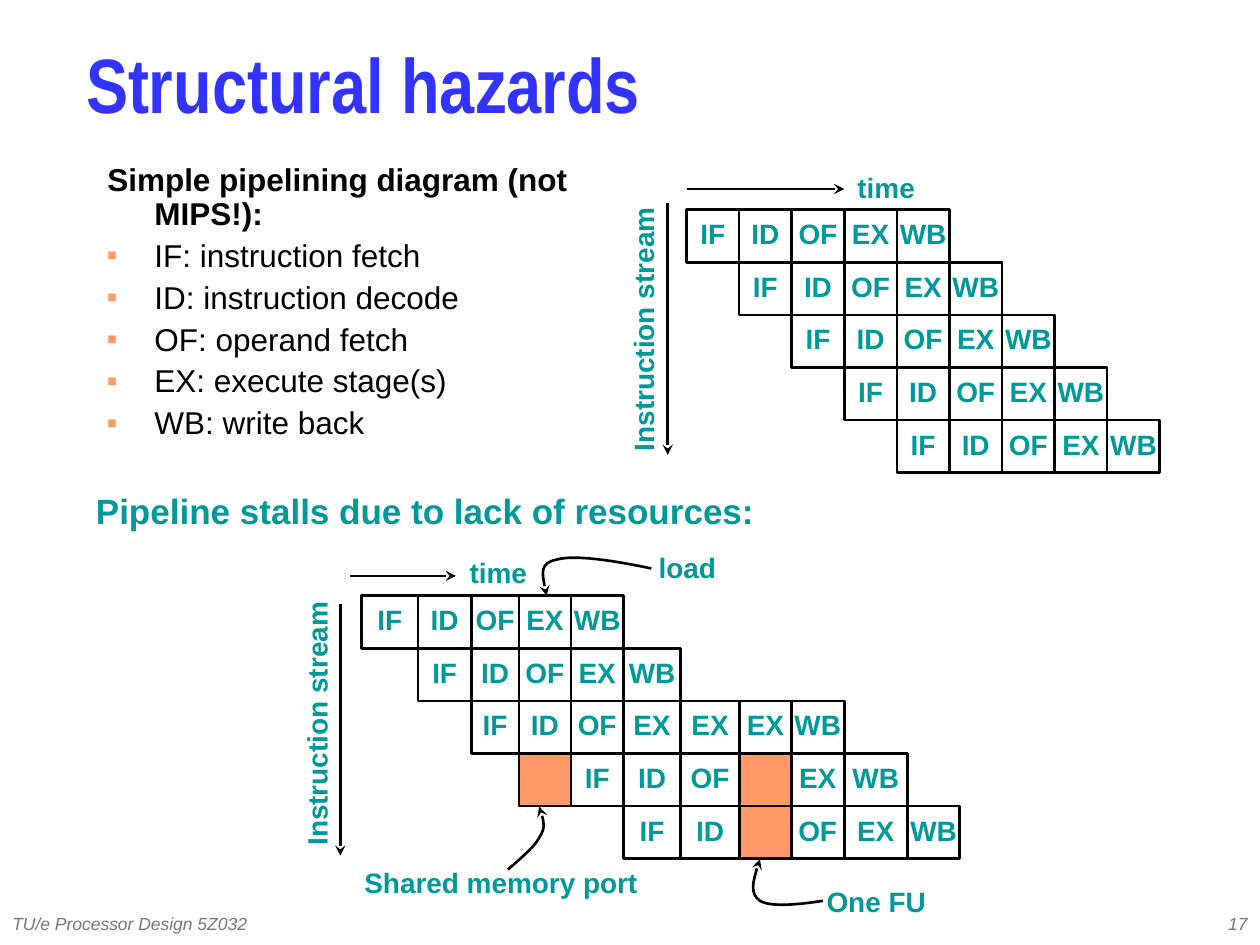
from itertools import accumulate
from lxml.etree import SubElement
from pptx import Presentation
from pptx.dml.color import RGBColor
from pptx.enum.shapes import MSO_CONNECTOR, MSO_SHAPE
from pptx.enum.text import MSO_ANCHOR, MSO_AUTO_SIZE, PP_ALIGN
from pptx.oxml.ns import qn
from pptx.util import Cm, Pt

COLORS = {"title": "3333FF", "ink": "000000", "teal": "009999",
          "stall": "FF9966", "white": "FFFFFF", "foot": "777777"}

# Content
TITLE = "Structural hazards"
HEAD = "Simple pipelining diagram (not MIPS!):"
ITEMS = ["IF: instruction fetch", "ID: instruction decode",
         "OF: operand fetch", "EX: execute stage(s)", "WB: write back"]
STAGES = ["IF", "ID", "OF", "EX", "WB"]
STALL = ""

# Pipelines: first column and stages of each instruction
IDEAL = [(row, STAGES) for row in range(5)]
STALLED = [
    (0, STAGES),
    (1, STAGES),
    (2, ["IF", "ID", "OF", "EX", "EX", "EX", "WB"]),
    (3, [STALL, "IF", "ID", "OF", STALL, "EX", "WB"]),
    (5, ["IF", "ID", STALL, "OF", "EX", "WB"]),
]
SIDE = 1.06
# Left, top, column widths and rows of each diagram
GRIDS = [
    (13.84, 4.23, [SIDE] * 9, IDEAL),
    (7.29, 12.01, [1.14, 1.07, 0.96, 1.05, 1.06, 1.15, 1.19, 1.04,
                   1.07, 1.27, 1.06], STALLED),
]

# Labels: text, left, top, width, size, turn
LABELS = [
    ("time", 17.04, 3.3, 1.65, 16, 0),
    ("Instruction stream", 10.24, 6.17, 5.44, 16, 270),
    ("Pipeline stalls due to lack of resources:", 1.68, 9.82, 13.79, 20, 0),
    ("time", 9.22, 11.07, 1.65, 16, 0),
    ("Instruction stream", 3.66, 14.12, 5.44, 16, 270),
    ("load", 13.03, 10.97, 1.65, 16, 0),
    ("Shared memory port", 7.09, 17.32, 6.02, 16, 0),
    ("One FU", 16.41, 17.7, 2.51, 16, 0),
]
FOOT = [("TU/e Processor Design 5Z032", 0.25, PP_ALIGN.LEFT),
        ("17", 20.37, PP_ALIGN.RIGHT)]

# Axes: start and end points
AXES = [(13.84, 3.81, 17.02, 3.81), (13.46, 4.09, 13.46, 9.17),
        (7.06, 11.61, 9.19, 11.61), (6.86, 12.17, 6.86, 17.25)]
# Curved pointers: start, then three Bezier points per piece
CURVES = [
    [(11.02, 12.01), (10.95, 11.68), (10.87, 11.35), (11.23, 11.28),
     (11.58, 11.18), (12.37, 11.3), (13.13, 11.46)],
    [(10.87, 16.26), (10.95, 16.46), (11, 16.69), (10.87, 16.89),
     (10.77, 17.09), (10.36, 17.42), (10.24, 17.53)],
    [(15.32, 17.32), (15.21, 17.65), (15.11, 18.01), (15.32, 18.16),
     (15.54, 18.29), (16.08, 18.24), (16.59, 18.16)],
]


def color(name):
    return RGBColor.from_string(COLORS[name])


def style(par, size, tone, bold=False, face="Arial"):
    font = par.font
    font.name, font.size, font.bold = face, Pt(size), bold
    font.color.rgb = color(tone)


def place(shape, *box):
    shape.left, shape.top, shape.width, shape.height = map(Cm, box)


def outline(shape, end=None):
    shape.line.color.rgb = color("ink")
    shape.line.width = Pt(1.5)
    if end:
        line = shape.element.spPr.find(qn("a:ln"))
        SubElement(line, qn(end), type="stealth")


def bullet(par):
    props = par._p.get_or_add_pPr()
    tint = SubElement(props, qn("a:buClr"))
    SubElement(tint, qn("a:srgbClr"), val=COLORS["stall"])
    SubElement(props, qn("a:buSzPct"), val="50000")
    SubElement(props, qn("a:buFont"), typeface="Arial")
    SubElement(props, qn("a:buChar"), char="■")


def heading(slide):
    shape = slide.shapes.title
    place(shape, 1.48, 0.62, 23.06, 2.54)
    frame = shape.text_frame
    frame.text = TITLE
    frame.auto_size = MSO_AUTO_SIZE.NONE
    frame.vertical_anchor = MSO_ANCHOR.MIDDLE
    par = frame.paragraphs[0]
    par.alignment, par.line_spacing = PP_ALIGN.LEFT, 0.7
    style(par, 44, "title", True, "Arial Narrow")


def legend(slide):
    shape = slide.placeholders[1]
    place(shape, 1.91, 3.18, 9.96, 6.35)
    frame = shape.text_frame
    frame.auto_size = MSO_AUTO_SIZE.NONE
    frame.text = "\n".join([HEAD] + ITEMS)
    for num, par in enumerate(frame.paragraphs):
        props = par._p.get_or_add_pPr()
        props.set("marL", str(Cm(0.95)))
        props.set("indent", str(-Cm(0.95)))
        if num:
            bullet(par)
        else:
            SubElement(props, qn("a:buNone"))
        par.line_spacing = 0.9
        par.space_before = Pt(4.5 if num else 0)
        style(par, 18, "ink", num == 0)


def block(slide, tone, *box):
    shape = slide.shapes.add_shape(MSO_SHAPE.RECTANGLE, *map(Cm, box))
    shape.shadow.inherit = False
    shape.fill.solid()
    shape.fill.fore_color.rgb = color(tone)
    outline(shape)
    return shape


def inset(frame):
    frame.margin_left = frame.margin_right = 0
    frame.margin_top = frame.margin_bottom = 0
    frame.vertical_anchor = MSO_ANCHOR.MIDDLE


def grid(slide, left, top, widths, rows):
    edges = list(accumulate(widths, initial=left))
    for row, (first, stages) in enumerate(rows):
        y, last = top + row * SIDE, first + len(stages)
        start = edges[first]
        bar = block(slide, "white", start, y, edges[last] - start, SIDE)
        # One centred tab stop in the middle of each stage
        frame = bar.text_frame
        inset(frame)
        frame.margin_bottom = Cm(0.1)
        frame.text = "".join("\t" + text for text in stages)
        par = frame.paragraphs[0]
        par.alignment = PP_ALIGN.LEFT
        tabs = SubElement(par._p.get_or_add_pPr(), qn("a:tabLst"))
        for col in range(first, last):
            mid = edges[col] + widths[col] / 2 - start
            SubElement(tabs, qn("a:tab"), pos=str(Cm(mid)), algn="ctr")
        style(par, 16, "teal", True)
        # Dividers and stalls
        for x in edges[first + 1:last]:
            rule(slide, x, y, x, y + SIDE)
        for col, text in enumerate(stages, first):
            if text == STALL:
                block(slide, "stall", edges[col], y, widths[col], SIDE)


def rule(slide, *ends, head=None):
    line = slide.shapes.add_connector(MSO_CONNECTOR.STRAIGHT, *map(Cm, ends))
    outline(line, head)
    SubElement(line.element.spPr, qn("a:effectLst"))


def curve(slide, points):
    start, *rest = [(Cm(x), Cm(y)) for x, y in points]
    pen = slide.shapes.build_freeform(*start)
    pen.add_line_segments(rest, close=False)
    shape = pen.convert_to_shape()
    shape.shadow.inherit = False
    shape.fill.background()
    outline(shape, "a:headEnd")
    # Join every three straight steps into one Bezier piece
    steps = list(shape.element.iter(qn("a:lnTo")))
    for num in range(0, len(steps), 3):
        trio = steps[num:num + 3]
        route = trio[0].getparent()
        bend = SubElement(route, qn("a:cubicBezTo"))
        for step in trio:
            bend.append(step[0])
            route.remove(step)


def label(slide, text, box, size, tone, align, bold=False, turn=0):
    shape = slide.shapes.add_textbox(*map(Cm, box))
    shape.rotation = turn
    frame = shape.text_frame
    frame.word_wrap = True
    inset(frame)
    frame.text = text
    par = frame.paragraphs[0]
    par.alignment = align
    style(par, size, tone, bold)
    return par


def main():
    deck = Presentation()
    deck.slide_width, deck.slide_height = Cm(25.4), Cm(19.05)
    slide = deck.slides.add_slide(deck.slide_layouts[1])
    heading(slide)
    legend(slide)
    for spec in GRIDS:
        grid(slide, *spec)
    for ends in AXES:
        rule(slide, *ends, head="a:tailEnd")
    for points in CURVES:
        curve(slide, points)
    for text, left, top, width, size, turn in LABELS:
        label(slide, text, (left, top, width, 0.94), size, "teal",
              PP_ALIGN.CENTER, True, turn)
    for text, left, align in FOOT:
        par = label(slide, text, (left, 18.2, 4.78, 0.84), 10, "foot", align)
        par.font.italic = True
    deck.save("out.pptx")


if __name__ == "__main__":
    main()
